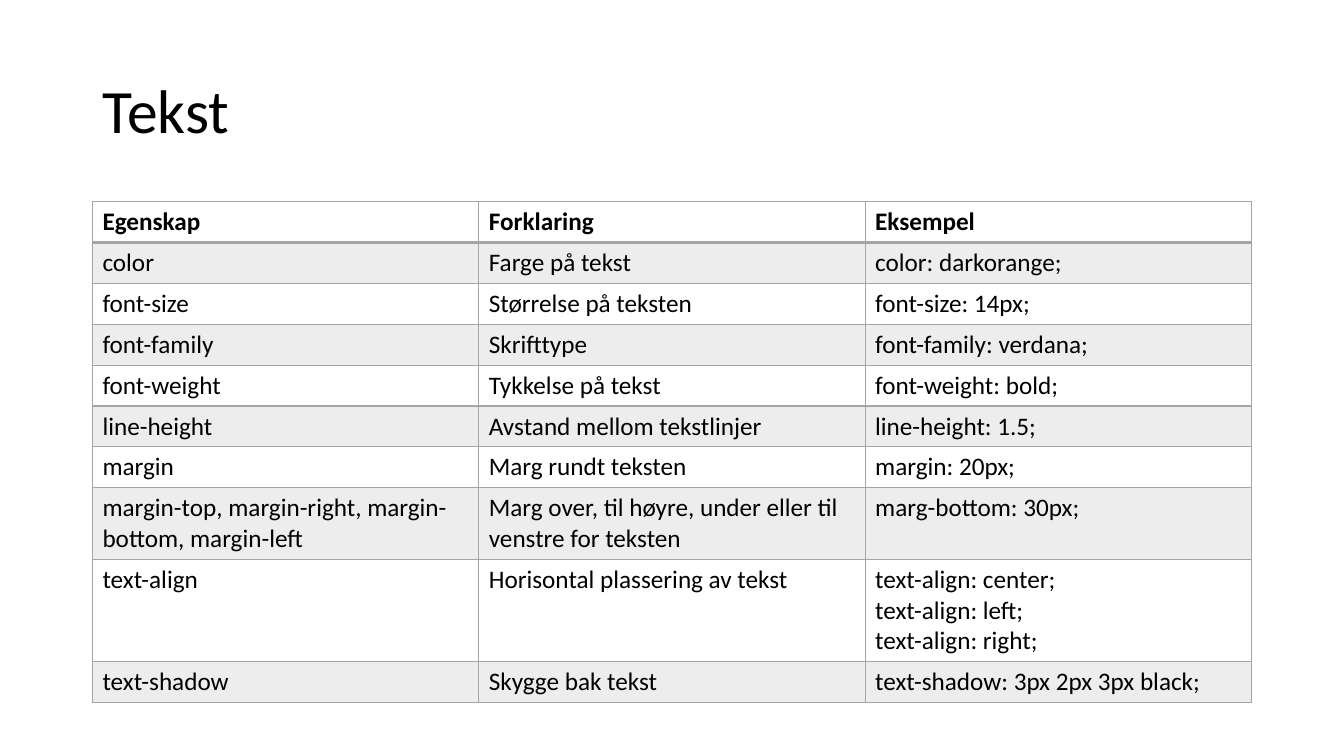
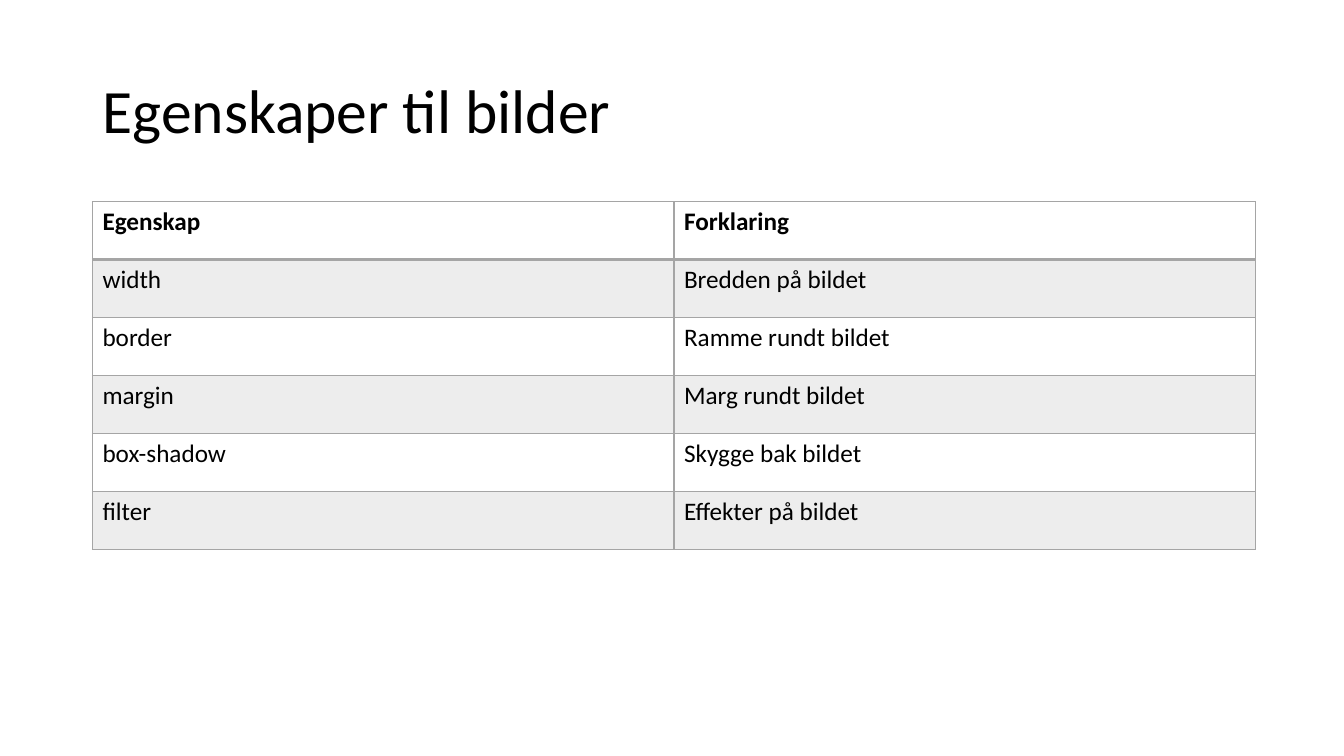
from dataclasses import dataclass

from lxml import etree
from pptx import Presentation, util as u
from pptx.dml.color import RGBColor
from pptx.enum import text
from pptx.oxml import ns


@dataclass(frozen=True)
class Theme:
    """Colours, font and type sizes shared by the slides."""
    font: str = "Calibri"
    ink: str = "000000"
    grid: str = "A5A5A5"
    band: str = "EDEDED"
    title_size: int = 44
    table_size: int = 18
    thin: int = 1
    thick: int = 2


THEME = Theme()
TITLE_BOX = (2.33, 1.01, 29.21, 3.68)
TABLE_LEFT, TABLE_TOP = 2.33, 5.08

TEXT_ROWS = [
    ("Egenskap", "Forklaring", "Eksempel"),
    ("color", "Farge på tekst", "color: darkorange;"),
    ("font-size", "Størrelse på teksten", "font-size: 14px;"),
    ("font-family", "Skrifttype", "font-family: verdana;"),
    ("font-weight", "Tykkelse på tekst", "font-weight: bold;"),
    ("line-height", "Avstand mellom tekstlinjer", "line-height: 1.5;"),
    ("margin", "Marg rundt teksten", "margin: 20px;"),
    ("margin-top, margin-right, margin-bottom, margin-left",
     "Marg over, til høyre, under eller til venstre for teksten",
     "marg-bottom: 30px;"),
    ("text-align", "Horisontal plassering av tekst",
     "text-align: center;\ntext-align: left;\ntext-align: right;"),
    ("text-shadow", "Skygge bak tekst", "text-shadow: 3px 2px 3px black;"),
]

IMAGE_ROWS = [
    ("Egenskap", "Forklaring"),
    ("width", "Bredden på bildet"),
    ("border", "Ramme rundt bildet"),
    ("margin", "Marg rundt bildet"),
    ("box-shadow", "Skygge bak bildet"),
    ("filter", "Effekter på bildet"),
]


def style_paragraph(p, size, bold=False):
    """Apply the theme font to a paragraph."""
    p.font.name = THEME.font
    p.font.size = u.Pt(size)
    p.font.bold = bold
    p.font.color.rgb = RGBColor.from_string(THEME.ink)


def set_borders(cell, bottom):
    """Draw the grid lines of a cell, with its own bottom width."""
    tc_pr = cell._tc.get_or_add_tcPr()
    widths = {"a:lnL": THEME.thin, "a:lnR": THEME.thin,
              "a:lnT": THEME.thin, "a:lnB": bottom}
    for tag, width in widths.items():
        line = etree.SubElement(tc_pr, ns.qn(tag), w=str(u.Pt(width)))
        fill = etree.SubElement(line, ns.qn("a:solidFill"))
        etree.SubElement(fill, ns.qn("a:srgbClr"), val=THEME.grid)


def fill_cell(cell, content, row):
    """Write one cell, with a bold header and every other row banded."""
    header = row == 0
    cell.text = content
    for p in cell.text_frame.paragraphs:
        style_paragraph(p, THEME.table_size, header)
    set_borders(cell, THEME.thick if header else THEME.thin)
    if row % 2:
        cell.fill.solid()
        cell.fill.fore_color.rgb = RGBColor.from_string(THEME.band)
    else:
        cell.fill.background()


def add_title(s, title, box):
    """Place the title placeholder in the given box."""
    sp = s.shapes.title
    sp.left, sp.top, sp.width, sp.height = map(u.Cm, box)
    tf = sp.text_frame
    tf.text = title
    tf.vertical_anchor = text.MSO_ANCHOR.MIDDLE
    p = tf.paragraphs[0]
    p.alignment = text.PP_ALIGN.LEFT
    p.line_spacing = 0.9
    style_paragraph(p, THEME.title_size)


def add_property_table(s, rows, left, top, width, row_height):
    """Place a table with equal columns and rows in the given box."""
    columns = len(rows[0])
    table = s.shapes.add_table(
        len(rows), columns, u.Cm(left), u.Cm(top),
        u.Cm(width), u.Cm(row_height * len(rows))).table
    table.first_row = table.horz_banding = False
    for column in table.columns:
        column.width = u.Cm(width / columns)
    for i, values in enumerate(rows):
        table.rows[i].height = u.Cm(row_height)
        for j, value in enumerate(values):
            fill_cell(table.cell(i, j), value, i)


def add_property_slide(prs, title, rows, width, row_height):
    """Add a slide with a title above a property table."""
    s = prs.slides.add_slide(prs.slide_layouts.get_by_name("Title Only"))
    add_title(s, title, TITLE_BOX)
    add_property_table(s, rows, TABLE_LEFT, TABLE_TOP, width, row_height)


def main():
    """Build and save the presentation."""
    prs = Presentation()
    prs.slide_width, prs.slide_height = u.Cm(33.87), u.Cm(19.05)
    add_property_slide(prs, "Tekst", TEXT_ROWS, 29.21, 1.03)
    add_property_slide(prs, "Egenskaper til bilder", IMAGE_ROWS, 29.31, 1.46)
    prs.save("out.pptx")


if __name__ == "__main__":
    main()
